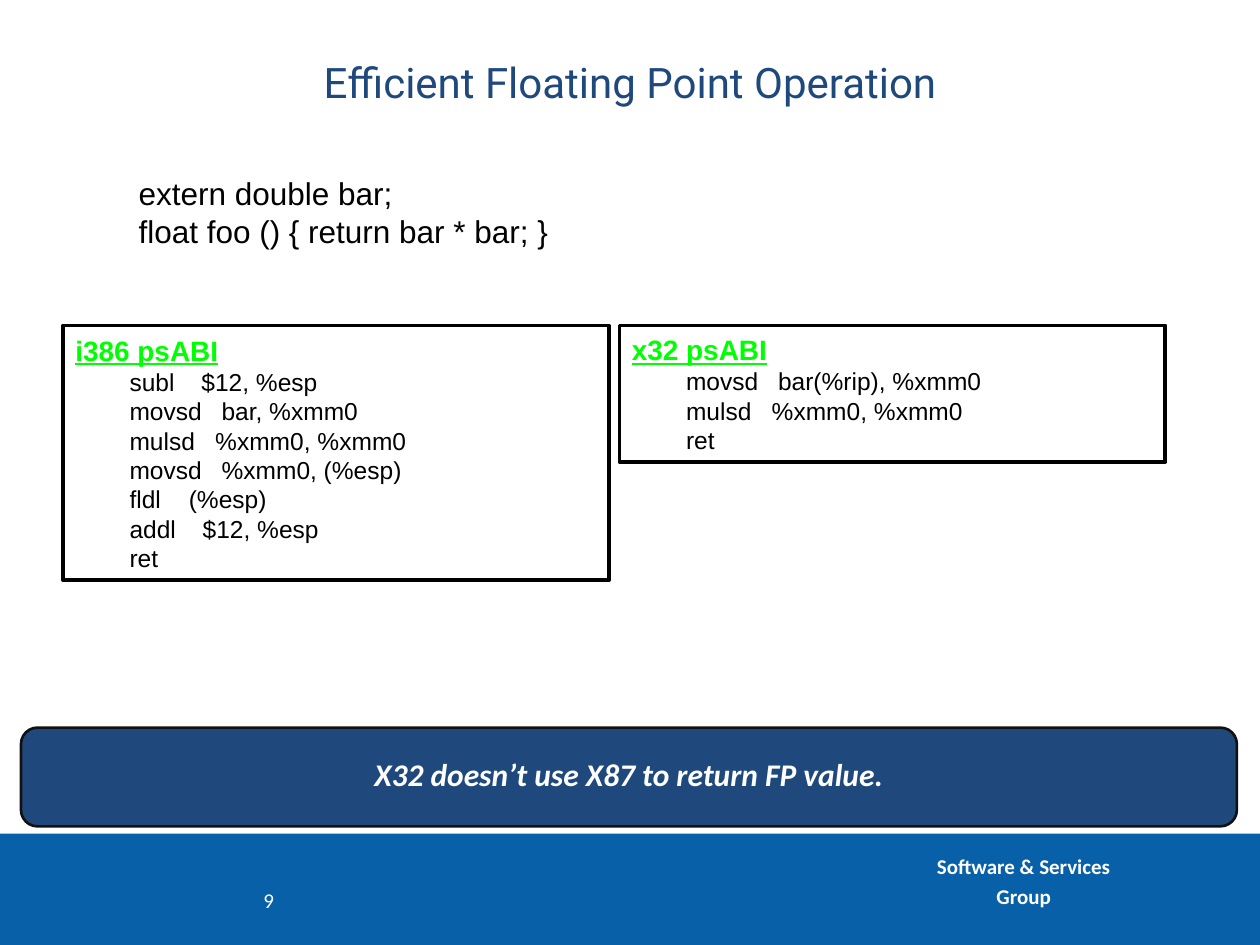
from dataclasses import dataclass

from lxml.etree import SubElement
from pptx import Presentation
from pptx.dml.color import RGBColor
from pptx.enum.shapes import MSO_SHAPE
from pptx.enum.text import MSO_ANCHOR, PP_ALIGN
from pptx.oxml.ns import qn
from pptx.util import Emu, Inches, Pt

COLS, ROWS = 120, 90
NAVY, BLUE, WHITE, BLACK, GREEN = "1F497D", "0860A8", "FFFFFF", "000000", "00FF00"
OPCODE_INDENT = 0.43
OPERAND_STOPS = {"subl": 1, "movsd": 1.16, "mulsd": 1.11, "fldl": 0.9, "addl": 1.01}


@dataclass(frozen=True)
class Box:
    col: float
    row: float
    cols: float
    rows: float


@dataclass(frozen=True)
class Style:
    font: str
    size: float
    color: str
    bold: bool = False
    italic: bool = False
    underline: bool = False


@dataclass(frozen=True)
class Listing:
    box: Box
    heading: str
    code: tuple[tuple[str, str], ...]


@dataclass(frozen=True)
class Label:
    box: Box
    text: str
    style: Style
    spacing: float
    anchor: MSO_ANCHOR
    wrap: bool


HEADING = Style("Arial", 16, GREEN, bold=True, underline=True)
CODE = Style("Arial", 14, BLACK)
SOURCE = Style("Arial", 18, BLACK)

LISTINGS = (
    Listing(Box(6, 31, 52, 24.25), "i386 psABI", (
        ("subl", "$12, %esp"),
        ("movsd", "bar, %xmm0"),
        ("mulsd", "%xmm0, %xmm0"),
        ("movsd", "%xmm0, (%esp)"),
        ("fldl", "(%esp)"),
        ("addl", "$12, %esp"),
        ("ret", ""),
    )),
    Listing(Box(59, 31, 52, 13), "x32 psABI", (
        ("movsd", "bar(%rip), %xmm0"),
        ("mulsd", "%xmm0, %xmm0"),
        ("ret", ""),
    )),
)

LABELS = (
    Label(Box(86, 81, 23, 5.4), "Software & Services Group",
          Style("Calibri", 12, WHITE, bold=True), 1.2, MSO_ANCHOR.MIDDLE, False),
    Label(Box(22.9, 84.4, 5.4, 4), "9",
          Style("Calibri", 12, WHITE), 0.8, MSO_ANCHOR.TOP, True),
)

prs = Presentation()
prs.slide_width, prs.slide_height = Inches(10), Inches(7.5)
s = prs.slides.add_slide(prs.slide_layouts[5])


def rgb(value: str) -> RGBColor:
    return RGBColor.from_string(value)


def place(box: Box) -> tuple[Emu, Emu, Emu, Emu]:
    x, y = prs.slide_width / COLS, prs.slide_height / ROWS
    return (Emu(round(box.col * x)), Emu(round(box.row * y)),
            Emu(round(box.cols * x)), Emu(round(box.rows * y)))


def format_text(p, style: Style, align=PP_ALIGN.LEFT, spacing: float = 1) -> None:
    p.alignment = align
    p.line_spacing = spacing
    for r in p.runs:
        f = r.font
        f.name, f.size = style.font, Pt(style.size)
        f.bold, f.italic, f.underline = style.bold, style.italic, style.underline
        f.color.rgb = rgb(style.color)


def add_panel(box: Box, kind=MSO_SHAPE.RECTANGLE, fill: str = "",
              line: str = "", width: float = 0):
    sp = s.shapes.add_shape(kind, *place(box))
    sp.shadow.inherit = False
    if fill:
        sp.fill.solid()
        sp.fill.fore_color.rgb = rgb(fill)
    else:
        sp.fill.background()
    if line:
        sp.line.color.rgb = rgb(line)
        sp.line.width = Pt(width)
    else:
        sp.line.fill.background()
    sp.text_frame.word_wrap = True
    sp.text_frame.vertical_anchor = MSO_ANCHOR.MIDDLE
    return sp


def set_tabs(p, stops: list[float]) -> None:
    tabs = SubElement(p._p.get_or_add_pPr(), qn("a:tabLst"))
    for stop in stops:
        SubElement(tabs, qn("a:tab"), pos=str(Inches(stop)), algn="l")


def add_listing(listing: Listing) -> None:
    tf = add_panel(listing.box, line=BLACK, width=2.25).text_frame
    tf.text = listing.heading
    format_text(tf.paragraphs[0], HEADING)
    for opcode, operands in listing.code:
        p = tf.add_paragraph()
        p.text = f"\t{opcode}\t{operands}" if operands else f"\t{opcode}"
        format_text(p, CODE)
        stops = [OPERAND_STOPS[opcode]] if operands else []
        set_tabs(p, [OPCODE_INDENT, *stops])


def add_label(label: Label) -> None:
    tf = s.shapes.add_textbox(*place(label.box)).text_frame
    tf.word_wrap = label.wrap
    tf.vertical_anchor = label.anchor
    tf.text = label.text
    format_text(tf.paragraphs[0], label.style, PP_ALIGN.CENTER, label.spacing)


def add_source(box: Box, text: str) -> None:
    tf = s.shapes.add_textbox(*place(box)).text_frame
    tf.word_wrap = True
    tf.margin_left = Inches(0.6)
    tf.text = text
    for p in tf.paragraphs:
        format_text(p, SOURCE)


title = s.shapes.title
title.left, title.top, title.width, title.height = place(Box(6, 2, 108, 11.6))
title.text_frame.text = "Efficient Floating Point Operation"
title.text_frame.vertical_anchor = MSO_ANCHOR.MIDDLE
format_text(title.text_frame.paragraphs[0], Style("Roboto", 24, NAVY), PP_ALIGN.CENTER)

add_panel(Box(0, 79.4, COLS, ROWS - 79.4), fill=BLUE)
for label in LABELS:
    add_label(label)
add_source(Box(6, 16, 79, 8.5), "extern double bar;\nfloat foo () { return bar * bar; }")
for listing in LISTINGS:
    add_listing(listing)

banner = add_panel(Box(2, 69.3, 115.8, 9.4), MSO_SHAPE.ROUNDED_RECTANGLE, NAVY, "111111", 1.5)
banner.text_frame.text = "X32 doesn’t use X87 to return FP value."
format_text(banner.text_frame.paragraphs[0],
            Style("Calibri", 18, WHITE, bold=True, italic=True), PP_ALIGN.CENTER, 0.8)

prs.save("out.pptx")
